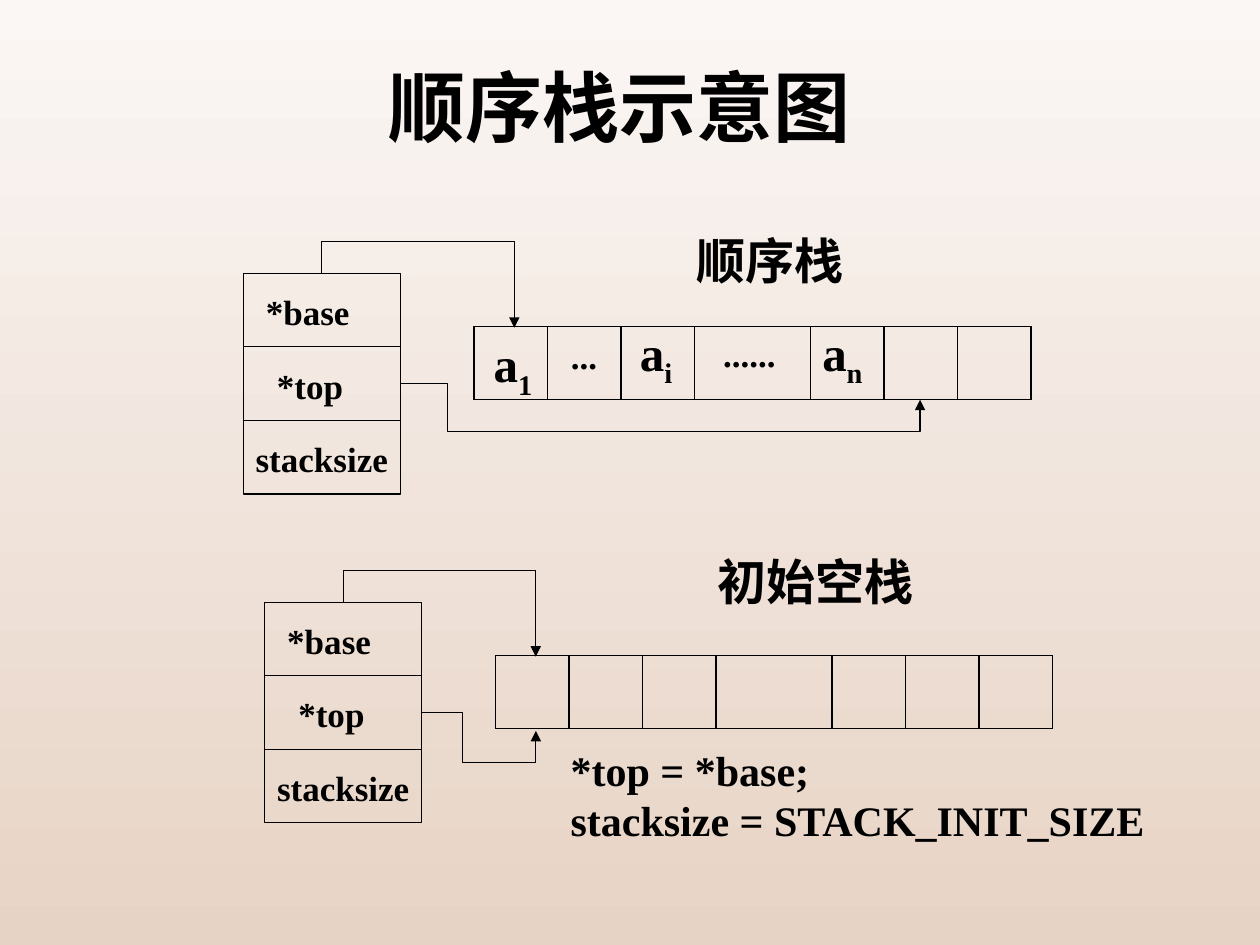
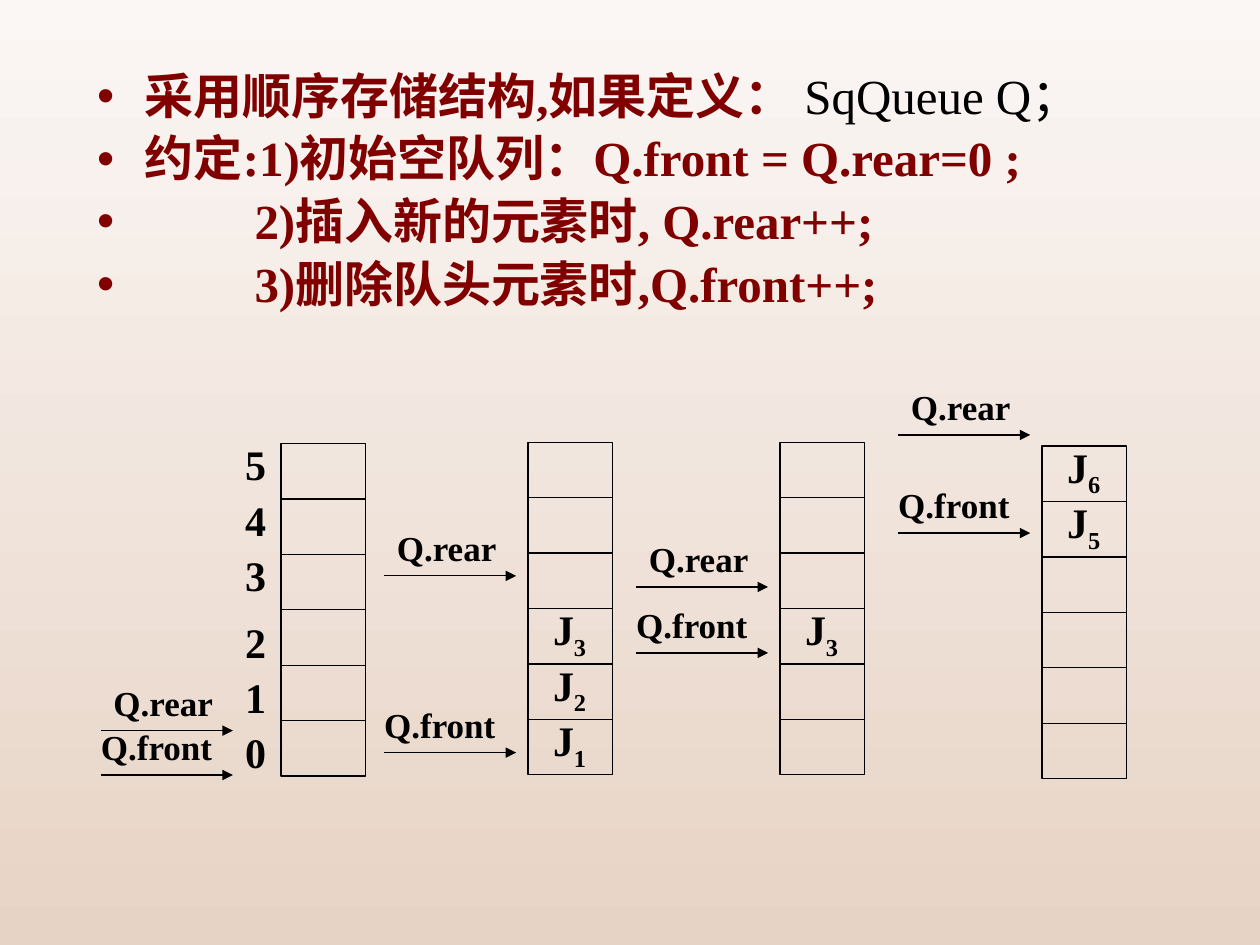
from dataclasses import dataclass

from lxml.etree import SubElement
from pptx import Presentation
from pptx.dml.color import RGBColor
from pptx.enum.shapes import MSO_CONNECTOR as CONNECTOR, MSO_SHAPE as SHAPE
from pptx.enum.text import MSO_ANCHOR as ANCHOR, MSO_AUTO_SIZE as AUTO_SIZE, PP_ALIGN as ALIGN
from pptx.oxml.ns import qn
from pptx.util import Inches, Pt


@dataclass(frozen=True)
class Theme:
    font: str = "Times New Roman"
    ink: RGBColor = RGBColor.from_string("000000")
    accent: RGBColor = RGBColor.from_string("800000")
    sky: RGBColor = RGBColor.from_string("FBF7F5")
    ground: RGBColor = RGBColor.from_string("E7D3C5")
    title: int = 44
    heading: int = 28
    code: int = 24
    small: int = 20
    stroke: float = 0.75


THEME = Theme()


def style(paragraph, size, color=THEME.ink, bold=True):
    for run in paragraph.runs:
        font = run.font
        font.name, font.size, font.bold = THEME.font, Pt(size), bold
        font.color.rgb = color


@dataclass
class Grid:
    slide: object
    left: float
    top: float
    col: float
    row: float

    def x(self, col):
        return Inches(self.left + col * self.col)

    def y(self, row):
        return Inches(self.top + row * self.row)

    def box(self, col, row, cols, rows):
        return self.x(col), self.y(row), Inches(cols * self.col), Inches(rows * self.row)

    def cell(self, col, row, cols=1, rows=1):
        cell = self.slide.shapes.add_shape(SHAPE.RECTANGLE, *self.box(col, row, cols, rows))
        cell.shadow.inherit = False
        cell.fill.background()
        cell.line.color.rgb = THEME.ink
        cell.line.width = Pt(THEME.stroke)

    def label(self, text, size, col, row, cols, rows, sub="", wrap=False):
        frame = self.slide.shapes.add_textbox(*self.box(col, row, cols, rows)).text_frame
        frame.word_wrap = wrap
        frame.auto_size = AUTO_SIZE.SHAPE_TO_FIT_TEXT
        frame.text = text
        if sub:
            index = frame.paragraphs[0].add_run()
            index.text = sub
            index._r.get_or_add_rPr().set("baseline", "-25000")
        for paragraph in frame.paragraphs:
            style(paragraph, size)

    def rule(self, start, end, kind=CONNECTOR.STRAIGHT):
        rule = self.slide.shapes.add_connector(
            kind, self.x(start[0]), self.y(start[1]), self.x(end[0]), self.y(end[1]))
        rule.line.color.rgb = THEME.ink
        rule.line.width = Pt(THEME.stroke)
        SubElement(rule._element.spPr, qn("a:effectLst"))
        return rule

    def arrow(self, start, end, kind=CONNECTOR.STRAIGHT):
        arrow = self.rule(start, end, kind)
        SubElement(arrow._element.spPr.find(qn("a:ln")), qn("a:tailEnd"), type="triangle")
        return arrow

    def elbow(self, start, end, preset, *bends):
        elbow = self.arrow(start, end, CONNECTOR.ELBOW)
        geometry = elbow._element.spPr.find(qn("a:prstGeom"))
        geometry.set("prst", preset)
        guides = geometry.find(qn("a:avLst"))
        for number, bend in enumerate(bends, 1):
            SubElement(guides, qn("a:gd"), name=f"adj{number}", fmla=f"val {round(bend * 100000)}")
        return elbow

    def arch(self, start, end, lift):
        arch = self.elbow(start, end, "bentConnector3", -lift / (end[1] - start[1]))
        across, down = arch.width, arch.height
        arch.left += (across - down) // 2
        arch.top += (down - across) // 2
        arch.width, arch.height = down, across
        frame = arch._element.spPr.find(qn("a:xfrm"))
        frame.set("rot", "5400000")
        frame.set("flipV", "1")

    def hook(self, start, end, turn, dip):
        width, height = end[0] - start[0], end[1] - start[1]
        self.elbow(start, end, "bentConnector4", (turn - start[0]) / width, 1 + dip / height)


UNIT = 7 / 12
RECORD_COLS = 2.14
ARRAY_COL, ARRAY_ROW = 3.14, 0.72
ARRAY_EDGES = (0, 1, 2, 3, 4.58, 6.58, 7.58)
ARRAY_BOXES = (4.58, 5.58)
BEND = 0.43
FIELDS = (("*base", 0.14, 1.52), ("*top", 0.29, 1.3), ("stacksize", 0, RECORD_COLS))
ELEMENTS = (
    ("a", "1", THEME.heading, 0.1, 0.02, 0.91),
    ("...", "", THEME.small, 1.15, 0.03, 0.7),
    ("a", "i", THEME.heading, 2.09, -0.14, 0.82),
    ("......", "", THEME.small, 3.22, 0, 1.07),
    ("a", "n", THEME.heading, 4.57, -0.14, 0.94),
)


def draw_record(grid):
    grid.cell(0, 0, RECORD_COLS, len(FIELDS))
    grid.cell(0, 1, RECORD_COLS)
    for row, (field, col, cols) in enumerate(FIELDS):
        grid.label(field, THEME.small, col, row + 0.15, cols, 0.74)


def draw_array(grid, elements):
    for row in (ARRAY_ROW, ARRAY_ROW + 1):
        grid.rule((ARRAY_COL, row), (ARRAY_COL + ARRAY_EDGES[-1], row))
    for edge in ARRAY_EDGES:
        grid.rule((ARRAY_COL + edge, ARRAY_ROW), (ARRAY_COL + edge, ARRAY_ROW + 1))
    for edge in ARRAY_BOXES:
        grid.cell(ARRAY_COL + edge, ARRAY_ROW)
    for text, sub, size, col, row, cols in elements:
        grid.label(text, size, ARRAY_COL + col, ARRAY_ROW + row, cols, 0.98, sub)


def draw_stack(slide, left, top, top_target, top_turn, elements=()):
    grid = Grid(slide, left, top, UNIT, UNIT)
    draw_record(grid)
    draw_array(grid, elements)
    grid.arch((RECORD_COLS / 2, 0), (3.69, 0.74), BEND)
    grid.hook((RECORD_COLS, 1.5), top_target, top_turn, BEND)


QUEUE_ROWS = 6


def draw_queue(slide, left, top, rear, front, items=(), indexed=False):
    grid = Grid(slide, left, top, 0.67, 0.44)
    for row in range(QUEUE_ROWS):
        grid.cell(0, row)
        if indexed:
            rise = 0.2 if row < QUEUE_ROWS / 2 else 0
            grid.label(str(QUEUE_ROWS - 1 - row), THEME.code, -0.57, row - rise, 0.57, 1.14, wrap=True)
    for sub, row in items:
        grid.label("J", THEME.code, 0.15, row - 0.2, 0.8, 1.14, sub, wrap=True)
    shift = -0.43 if indexed else 0
    for name, row, indent, cols in (("Q.rear", rear, 0, 1.57), ("Q.front", front, -0.15, 1.99)):
        grid.label(name, THEME.small, shift - 1.7 + indent, row - 1, cols, 0.98, wrap=True)
        grid.arrow((shift - 1.7, row), (shift - 0.14, row))


def page_grid(slide):
    return Grid(slide, 0, 0, 0.1, 0.1)


def fill_placeholder(placeholder, box, text):
    placeholder.left, placeholder.top, placeholder.width, placeholder.height = box
    frame = placeholder.text_frame
    frame.auto_size = AUTO_SIZE.NONE
    frame.text = text
    return frame


def stack_slide(prs):
    slide = prs.slides.add_slide(prs.slide_layouts[5])
    page = page_grid(slide)
    title = fill_placeholder(slide.shapes.title, page.box(6.7, 2.8, 85, 12.5), "顺序栈示意图")
    title.vertical_anchor = ANCHOR.MIDDLE
    heading = title.paragraphs[0]
    heading.alignment, heading.line_spacing = ALIGN.CENTER, 0.8
    style(heading, THEME.title)

    draw_stack(slide, 1.93, 2.17, (9.21, 1.72), 2.78, ELEMENTS)
    draw_stack(slide, 2.1, 4.78, (3.69, 1.75), 2.69)
    page.label("初始空栈", THEME.heading, 56, 43.3, 17.6, 5.7)
    page.label("*top = *base;\nstacksize = STACK_INIT_SIZE", THEME.code, 44.3, 58.6, 47.8, 9)
    page.label("顺序栈", THEME.heading, 54.3, 17.8, 13.7, 5.7)


RULES = (
    ("采用顺序存储结构,如果定义： ", 0.38),
    ("约定:1)初始空队列：Q.front = Q.rear=0 ;", 0.38),
    ("2)插入新的元素时, Q.rear++;", 1.25),
    ("3)删除队头元素时,Q.front++;", 1.25),
)


def write_rules(slide):
    body = fill_placeholder(slide.placeholders[1], page_grid(slide).box(6.7, 5.2, 85, 21),
                            "\n".join(text for text, indent in RULES))
    for number, (rule, (text, indent)) in enumerate(zip(body.paragraphs, RULES)):
        properties = rule._p.get_or_add_pPr()
        properties.set("marL", str(Inches(indent)))
        properties.set("indent", str(-Inches(indent)))
        rule.alignment, rule.line_spacing = ALIGN.JUSTIFY, 0.9
        rule.space_before = Pt(0.2 * THEME.heading if number else 0)
        style(rule, THEME.heading, THEME.accent)
    declaration = body.paragraphs[0].add_run()
    declaration.text = "SqQueue Q；"
    font = declaration.font
    font.name, font.size, font.bold = THEME.font, Pt(THEME.heading), False
    font.color.rgb = THEME.ink


def queue_slide(prs):
    slide = prs.slides.add_slide(prs.slide_layouts[1])
    heading = slide.shapes.title._element
    heading.getparent().remove(heading)
    write_rules(slide)
    draw_queue(slide, 4.19, 3.51, 2.41, 5.6, (("1", 5), ("2", 4), ("3", 3)))
    draw_queue(slide, 6.19, 3.51, 2.61, 3.8, (("3", 3),))
    draw_queue(slide, 8.27, 3.54, -0.2, 1.57, (("5", 1), ("6", 0)))
    draw_queue(slide, 2.23, 3.52, 5.18, 5.98, indexed=True)


def paint_background(master):
    fill = master.background.fill
    fill.gradient()
    fill.gradient_angle = 270
    for stop, color in zip(fill.gradient_stops, (THEME.sky, THEME.ground)):
        stop.color.rgb = color


def main():
    prs = Presentation()
    prs.slide_width, prs.slide_height = Inches(10), Inches(7.5)
    paint_background(prs.slide_master)
    stack_slide(prs)
    queue_slide(prs)
    prs.save("out.pptx")


if __name__ == "__main__":
    main()
